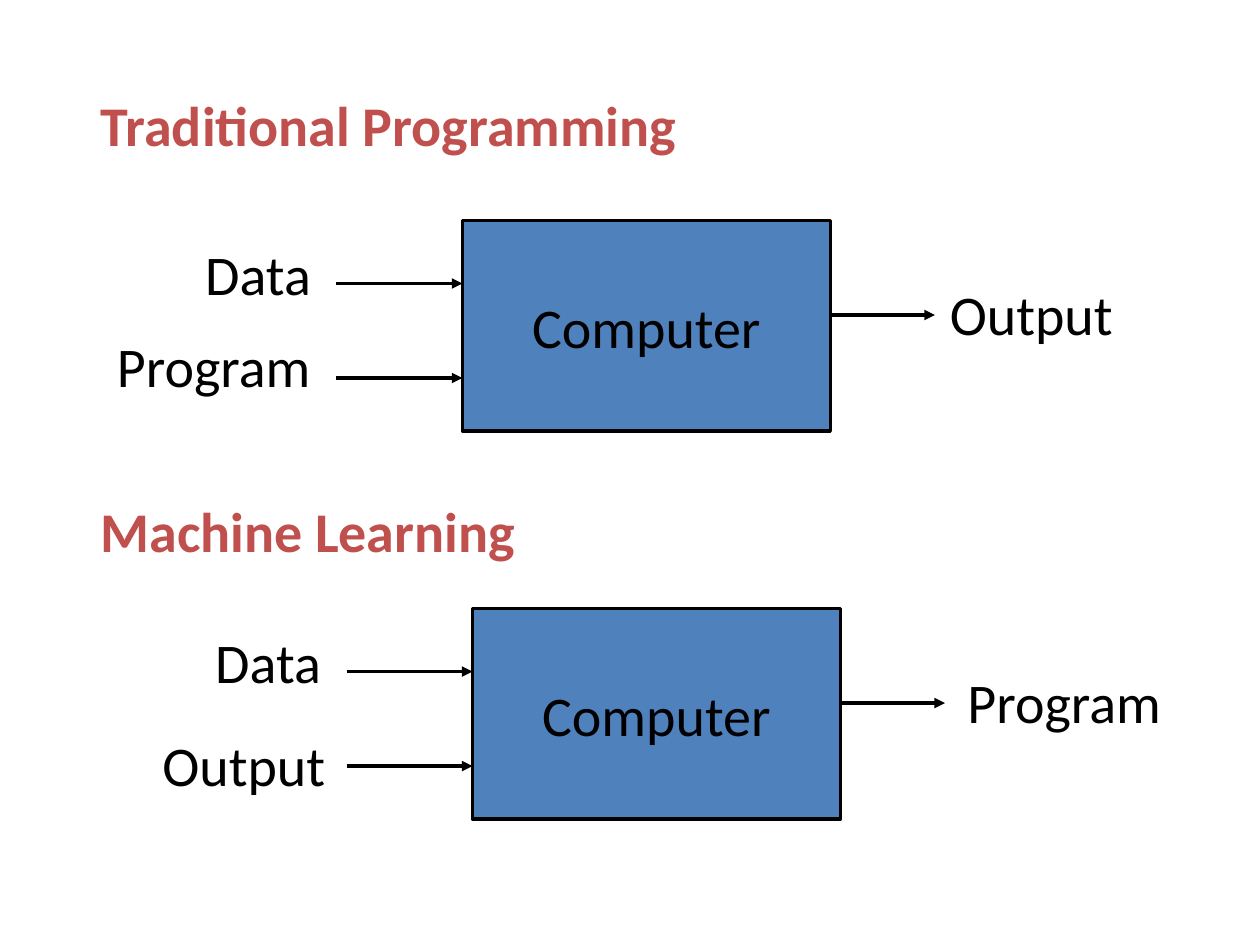
from lxml import etree
from pptx import Presentation
from pptx.dml.color import RGBColor
from pptx.enum.shapes import MSO_CONNECTOR, MSO_SHAPE
from pptx.enum.text import MSO_ANCHOR, MSO_AUTO_SIZE, PP_ALIGN
from pptx.oxml.ns import qn
from pptx.util import Inches, Pt

# Content: each input and output is (word, left, top of its label)
DIAGRAMS = [
    {"heading": "Traditional Programming", "heading_top": 0.67,
     "box": "Computer", "corner": (3.67, 1.75),
     "inputs": [("Data", 1.53, 1.85), ("Program", 0.83, 2.58)],
     "output": ("Output", 7.44, 2.17)},
    {"heading": "Machine Learning", "heading_top": 3.89,
     "box": "Computer", "corner": (3.75, 4.83),
     "inputs": [("Data", 1.61, 4.93), ("Output", 1.19, 5.75)],
     "output": ("Program", 7.58, 5.25)},
]

THEME = {
    "heading": {"name": "Calibri", "size": Pt(32), "bold": True},
    "label": {"name": "Calibri", "size": Pt(32), "bold": False},
    "heading_color": RGBColor(0xC0, 0x50, 0x4D),
    "ink": RGBColor(0, 0, 0),
    "box_fill": RGBColor(0x4F, 0x81, 0xBD),
    "line_width": Pt(2),
}

# Layout in inches
BOX_WIDTH, BOX_HEIGHT = 2.92, 1.67
HEADING_LEFT, HEADING_WIDTH, TEXT_HEIGHT = 0.7, 8.8, 0.64
LABEL_WIDTHS = {"Data": 1.05, "Program": 1.75, "Output": 1.49}
INPUT_ARROW, OUTPUT_ARROW = 1.0, 0.83
FIRST_INPUT, INPUT_STEP, OUTPUT_DROP = 0.5, 0.75, 0.75


def write_text(shape, text, style, color, alignment=PP_ALIGN.LEFT,
               anchor=MSO_ANCHOR.TOP, wrap=False):
    frame = shape.text_frame
    frame.text = text
    frame_format = {"word_wrap": wrap, "auto_size": MSO_AUTO_SIZE.NONE,
                    "vertical_anchor": anchor}
    for name, value in frame_format.items():
        setattr(frame, name, value)
    paragraph = frame.paragraphs[0]
    paragraph.alignment = alignment
    for name, value in THEME[style].items():
        setattr(paragraph.font, name, value)
    paragraph.font.color.rgb = color


def style_line(line):
    line.color.rgb = THEME["ink"]
    line.width = THEME["line_width"]


def add_heading(slide, text, top):
    # The first heading is the slide title, later ones are text boxes
    area = [Inches(n) for n in (HEADING_LEFT, top, HEADING_WIDTH, TEXT_HEIGHT)]
    title = slide.shapes.title
    if title.has_text_frame and not title.text_frame.text:
        shape = title
        shape.left, shape.top, shape.width, shape.height = area
    else:
        shape = slide.shapes.add_textbox(*area)
    write_text(shape, text, "heading", THEME["heading_color"], wrap=True)


def add_box(slide, text, left, top):
    shape = slide.shapes.add_shape(
        MSO_SHAPE.RECTANGLE, Inches(left), Inches(top),
        Inches(BOX_WIDTH), Inches(BOX_HEIGHT))
    shape.shadow.inherit = False
    shape.fill.solid()
    shape.fill.fore_color.rgb = THEME["box_fill"]
    style_line(shape.line)
    write_text(shape, text, "label", THEME["ink"],
               PP_ALIGN.CENTER, MSO_ANCHOR.MIDDLE)


def add_arrow(slide, left, y, length):
    arrow = slide.shapes.add_connector(
        MSO_CONNECTOR.STRAIGHT, Inches(left), Inches(y),
        Inches(left + length), Inches(y))
    style_line(arrow.line)
    line_element = arrow.line._get_or_add_ln()
    etree.SubElement(line_element, qn("a:tailEnd")).set("type", "triangle")
    etree.SubElement(arrow._element.spPr, qn("a:effectLst"))


def add_label(slide, text, left, top):
    shape = slide.shapes.add_textbox(
        Inches(left), Inches(top),
        Inches(LABEL_WIDTHS[text]), Inches(TEXT_HEIGHT))
    write_text(shape, text, "label", THEME["ink"])


def add_diagram(slide, diagram):
    left, top = diagram["corner"]
    add_heading(slide, diagram["heading"], diagram["heading_top"])
    add_box(slide, diagram["box"], left, top)
    # Inputs enter on the left, the output leaves on the right
    for index, label in enumerate(diagram["inputs"]):
        y = top + FIRST_INPUT + index * INPUT_STEP
        add_arrow(slide, left - INPUT_ARROW, y, INPUT_ARROW)
        add_label(slide, *label)
    add_arrow(slide, left + BOX_WIDTH, top + OUTPUT_DROP, OUTPUT_ARROW)
    add_label(slide, *diagram["output"])


def main():
    presentation = Presentation()
    presentation.slide_width = Inches(10)
    presentation.slide_height = Inches(7.5)
    slide = presentation.slides.add_slide(presentation.slide_layouts[5])
    for diagram in DIAGRAMS:
        add_diagram(slide, diagram)
    presentation.save("out.pptx")


if __name__ == "__main__":
    main()
